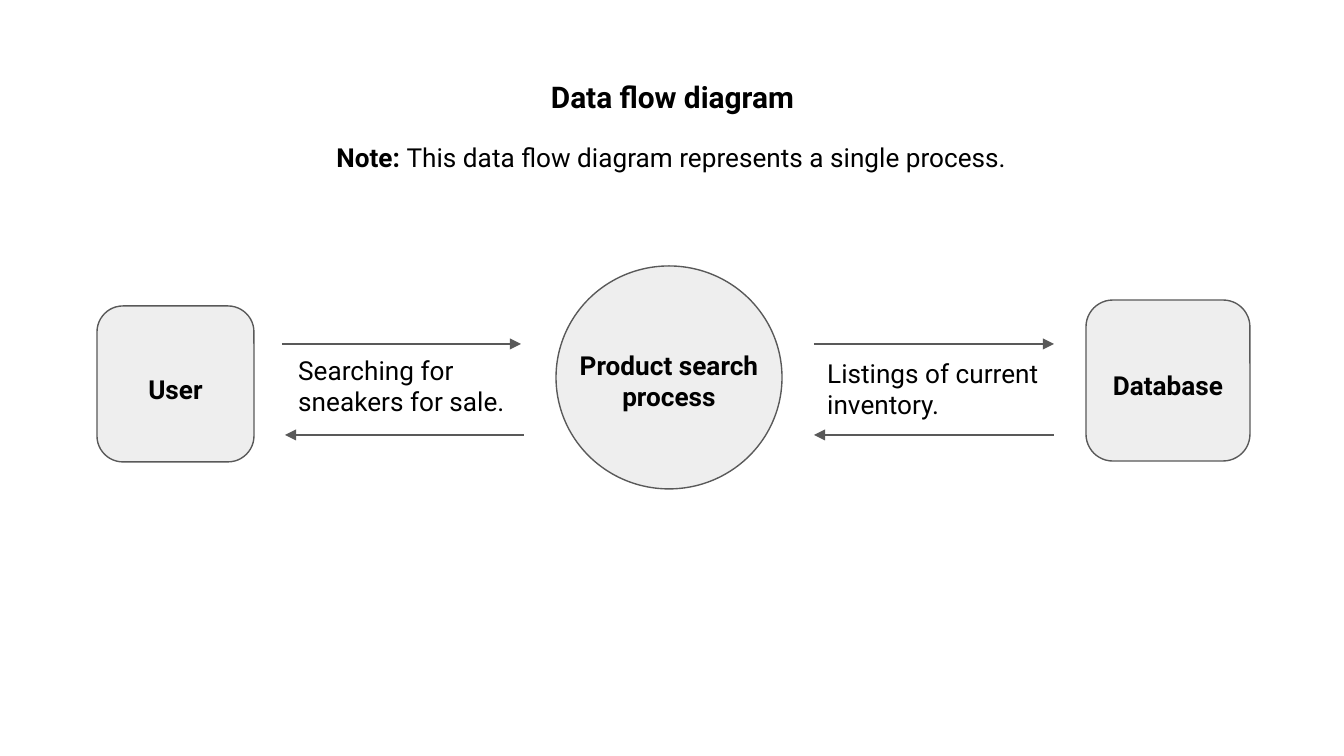
from lxml import etree
from pptx import Presentation
from pptx.dml.color import RGBColor
from pptx.enum import shapes, text
from pptx.oxml.ns import qn
from pptx import util as u

PX = 914400 / 134.4
HUE = {"ink": "000000", "line": "595959", "fill": "EEEEEE"}
MID, LEFT = text.PP_ALIGN.CENTER, text.PP_ALIGN.LEFT


def emu(*px):
    return [u.Emu(round(n * PX)) for n in px]


def write(box, lines, size=14, bold=True, align=MID):
    """Fill a text shape; each line is one paragraph."""
    frame = box.text_frame
    frame.text = lines
    frame.word_wrap = True
    frame.auto_size = text.MSO_AUTO_SIZE.NONE
    frame.vertical_anchor = text.MSO_ANCHOR.TOP
    frame.margin_left = frame.margin_right = u.Inches(0.1)
    frame.margin_top = frame.margin_bottom = u.Inches(0.1)
    for para in frame.paragraphs:
        para.alignment = align
        for run in para.runs:
            run.font.name = "Roboto"
            run.font.size = u.Pt(size)
            run.font.bold = bold
            run.font.color.rgb = RGBColor.from_string(HUE["ink"])
    return frame.paragraphs[0]


deck = Presentation()
deck.slide_width, deck.slide_height = emu(1344, 756)
slide = deck.slides.add_slide(deck.slide_layouts[5])
draw = slide.shapes

# Title
title = draw.title
title.left, title.top, title.width, title.height = emu(208, 65, 929, 63)
write(title, "Data flow diagram", size=16)

# Note with a bold lead-in
note = draw.add_textbox(*emu(95, 128, 1153, 59))
para = write(note, "Note: ")
rest = para.add_run()
rest.text = "This data flow diagram represents a single process."
rest.font.name, rest.font.size, rest.font.bold = "Roboto", u.Pt(14), False
rest.font.color.rgb = RGBColor.from_string(HUE["ink"])

# Nodes: outline, its place, then name with top and height
KIND = shapes.MSO_SHAPE
nodes = [
    (KIND.FLOWCHART_ALTERNATE_PROCESS, (97, 306, 157, 156), "User", 360, 59),
    (KIND.FLOWCHART_ALTERNATE_PROCESS, (1086, 300, 164, 161), "Database", 356, 59),
    (KIND.OVAL, (556, 266, 226, 223), "Product search\nprocess", 336, 90),
]
for kind, place, name, top, high in nodes:
    node = draw.add_shape(kind, *emu(*place))
    node.shadow.inherit = False
    node.fill.solid()
    node.fill.fore_color.rgb = RGBColor.from_string(HUE["fill"])
    node.line.color.rgb = RGBColor.from_string(HUE["line"])
    node.line.width = u.Pt(0.75)
    write(draw.add_textbox(*emu(place[0], top, place[2], high)), name)

# Arrows: requests above, replies below
for start, end, y in [(282, 521, 344), (814, 1054, 344),
                      (524, 285, 435), (1054, 814, 435)]:
    arrow = draw.add_connector(shapes.MSO_CONNECTOR.STRAIGHT, *emu(start, y, end, y))
    arrow.line.color.rgb = RGBColor.from_string(HUE["line"])
    arrow.line.width = u.Pt(0.75)
    etree.SubElement(arrow.line._get_or_add_ln(), qn("a:tailEnd"), type="triangle")
    etree.SubElement(arrow._element.spPr, qn("a:effectLst"))

# Flow labels
for place, words in [((285, 341, 239, 90), "Searching for sneakers for sale."),
                     ((814, 344, 271, 90), "Listings of current inventory.")]:
    write(draw.add_textbox(*emu(*place)), words, bold=False, align=LEFT)

deck.save("out.pptx")
